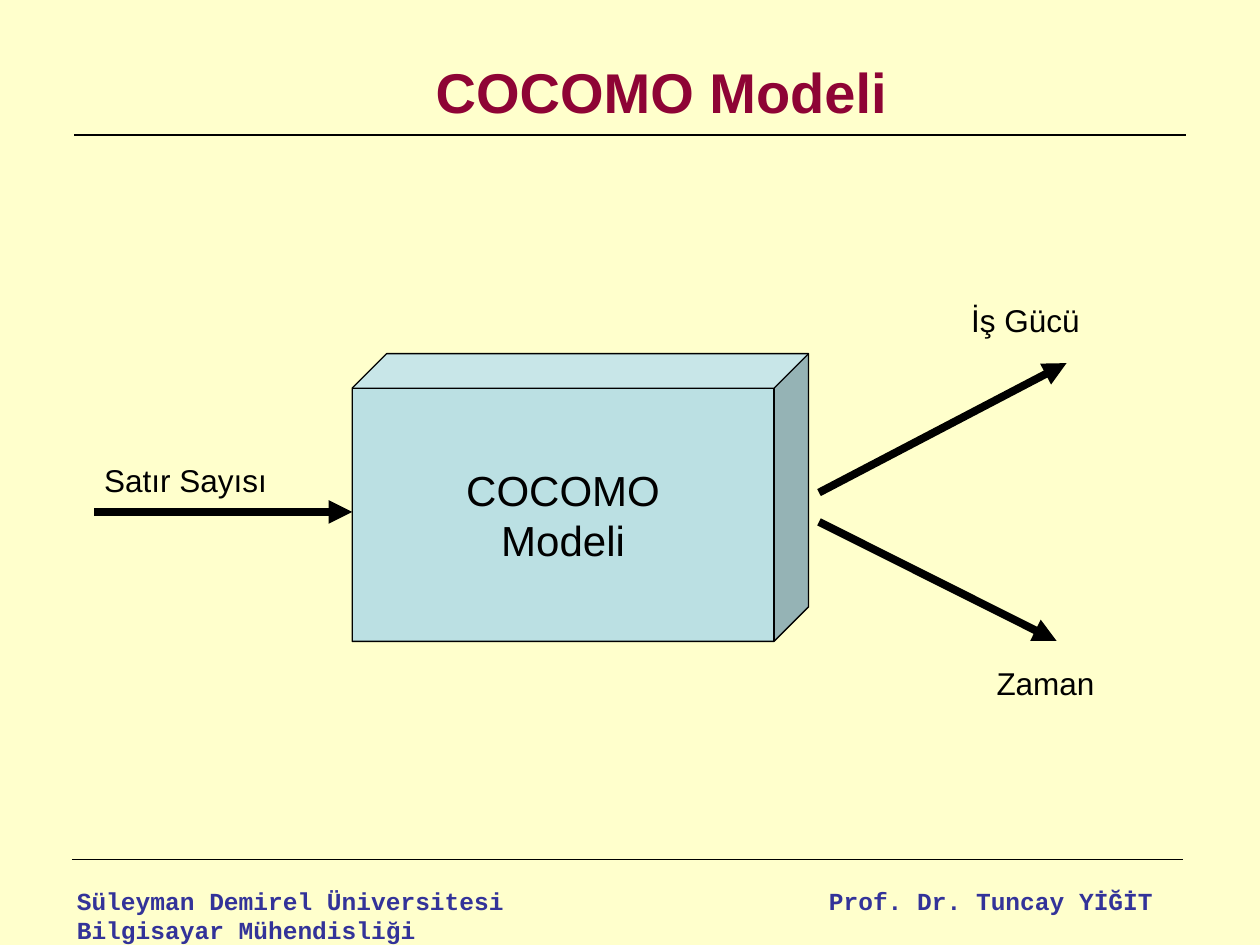
from dataclasses import dataclass

from lxml.etree import SubElement
from pptx import Presentation
from pptx.dml.color import RGBColor as RGB
from pptx.enum.shapes import MSO_CONNECTOR as Link, MSO_SHAPE as Shape
from pptx.enum.text import MSO_ANCHOR as Anchor, MSO_AUTO_SIZE as Fit, PP_ALIGN as Align
from pptx.oxml.ns import qn
from pptx.util import Cm, Pt


@dataclass(frozen=True)
class Theme:
    paper: RGB = RGB.from_string("FFFFCC")
    ink: RGB = RGB.from_string("000000")
    head: RGB = RGB.from_string("8E0435")
    foot: RGB = RGB.from_string("333399")
    cube: RGB = RGB.from_string("BBE0E3")
    sans: str = "Arial"
    mono: str = "Courier New"
    title: int = 32
    model: int = 24
    label: int = 18
    note: int = 14
    thin: float = 0.75
    thick: float = 4.5


THEME = Theme()


def write(shape, text, size=THEME.label, color=THEME.ink, font=THEME.sans,
          bold=False, align=Align.LEFT, anchor=Anchor.TOP, wrap=False):
    frame = shape.text_frame
    frame.text = text
    frame.auto_size = Fit.NONE
    frame.word_wrap = wrap
    frame.vertical_anchor = anchor
    for para in frame.paragraphs:
        para.alignment = align
        para.font.size = Pt(size)
        para.font.name = font
        para.font.bold = bold
        para.font.color.rgb = color


def add_text(slide, box, text, **style):
    write(slide.shapes.add_textbox(*map(Cm, box)), text, **style)


def add_line(slide, start, end, width=THEME.thin, arrow=False):
    line = slide.shapes.add_connector(Link.STRAIGHT, *map(Cm, start + end))
    line.line.color.rgb = THEME.ink
    line.line.width = Pt(width)
    if arrow:
        SubElement(line.line._get_or_add_ln(), qn("a:tailEnd"), type="triangle")
    SubElement(line._element.spPr, qn("a:effectLst"))


def add_title(slide, box, text):
    title = slide.shapes.title
    title.left, title.top, title.width, title.height = map(Cm, box)
    write(title, text, size=THEME.title, color=THEME.head, bold=True,
          align=Align.CENTER, anchor=Anchor.MIDDLE, wrap=True)


def add_cube(slide, box, text):
    cube = slide.shapes.add_shape(Shape.CUBE, *map(Cm, box))
    cube.adjustments[0] = 0.12
    cube.shadow.inherit = False
    cube.fill.solid()
    cube.fill.fore_color.rgb = THEME.cube
    cube.line.color.rgb = THEME.ink
    cube.line.width = Pt(THEME.thin)
    write(cube, text, size=THEME.model, align=Align.CENTER, anchor=Anchor.MIDDLE)


def main():
    deck = Presentation()
    deck.slide_width, deck.slide_height = Cm(25.4), Cm(19.05)
    slide = deck.slides.add_slide(deck.slide_layouts[5])
    slide.background.fill.solid()
    slide.background.fill.fore_color.rgb = THEME.paper

    add_title(slide, (2.54, 0.76, 21.59, 2.16), "COCOMO Modeli")
    for left, top in ((1.5, 2.72), (1.45, 17.32)):
        add_line(slide, (left, top), (left + 22.4, top))

    add_cube(slide, (7.1, 7.13, 9.2, 5.8), "COCOMO\nModeli")
    for start, end in (
        ((1.9, 10.32), (7.1, 10.32)),
        ((16.51, 10.52), (21.3, 12.92)),
        ((16.51, 9.93), (21.5, 7.32)),
    ):
        add_line(slide, start, end, width=THEME.thick, arrow=True)

    for left, top, width, text in (
        (1.85, 9.17, 3.78, "Satır Sayısı"),
        (19.33, 5.94, 2.69, "İş Gücü"),
        (19.84, 13.26, 2.49, "Zaman"),
    ):
        add_text(slide, (left, top, width, 1.02), text)

    for left, width, align, text in (
        (1.3, 10.8, Align.LEFT, "Süleyman Demirel Üniversitesi Bilgisayar Mühendisliği"),
        (15.9, 7.6, Align.RIGHT, "Prof. Dr. Tuncay YİĞİT"),
    ):
        add_text(slide, (left, 17.73, width, 1.3), text, size=THEME.note,
                 color=THEME.foot, font=THEME.mono, bold=True, align=align, wrap=True)

    deck.save("out.pptx")


if __name__ == "__main__":
    main()
